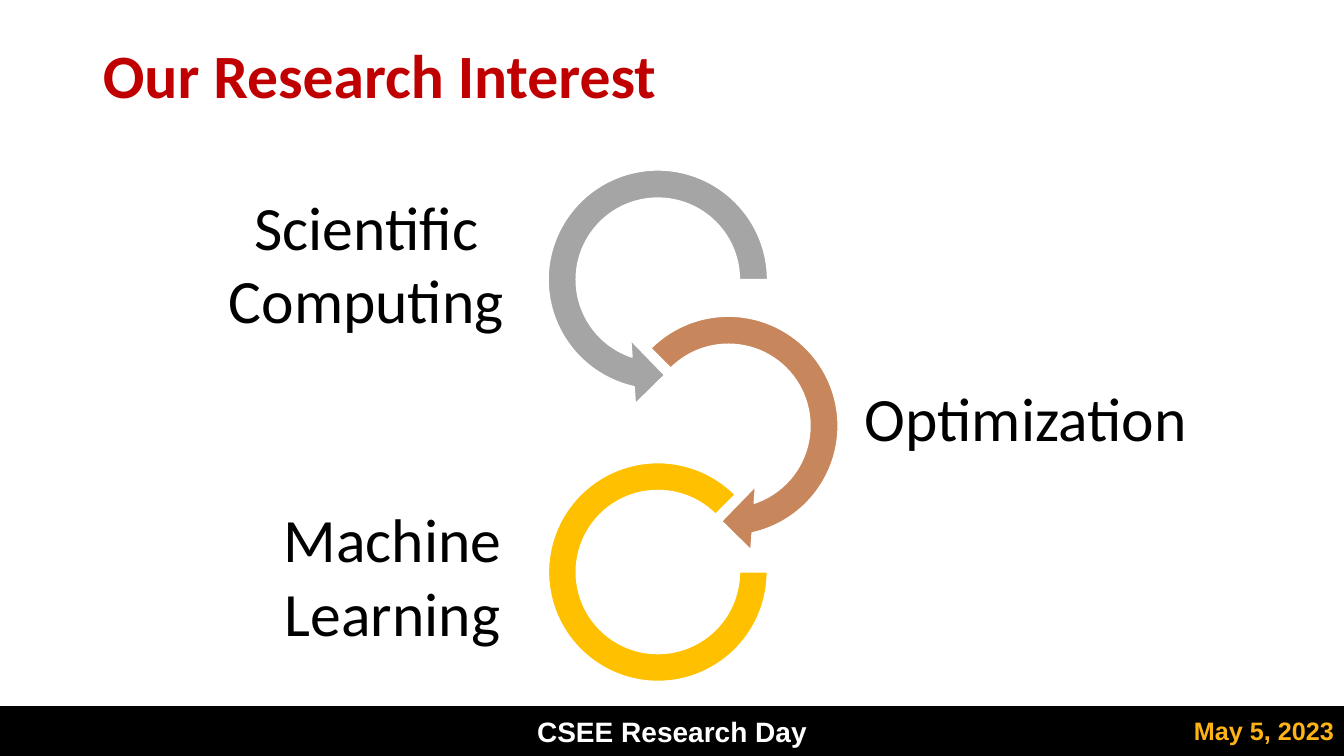
import pptx
import pptx.util
import pptx.dml.color
import pptx.enum.shapes
import pptx.enum.text

Inches = pptx.util.Inches
Pt = pptx.util.Pt
RGBColor = pptx.dml.color.RGBColor
Shape = pptx.enum.shapes.MSO_SHAPE
Align = pptx.enum.text.PP_ALIGN
Anchor = pptx.enum.text.MSO_ANCHOR
Fit = pptx.enum.text.MSO_AUTO_SIZE

BLACK = RGBColor(0x00, 0x00, 0x00)
WHITE = RGBColor(0xFF, 0xFF, 0xFF)
RED = RGBColor(0xC0, 0x00, 0x00)
AMBER = RGBColor(0xFD, 0xB3, 0x16)
GRAY = RGBColor(0xA5, 0xA5, 0xA5)
COPPER = RGBColor(0xC8, 0x86, 0x5C)
GOLD = RGBColor(0xFF, 0xC0, 0x00)

WIDTH, HEIGHT = 13.33, 7.5


def write(shape, text, font, size, color, align, bold=False):
    frame = shape.text_frame
    frame.word_wrap = True
    par = frame.paragraphs[0]
    par.text = text
    par.alignment = align
    par.font.name = font
    par.font.size = Pt(size)
    par.font.bold = bold
    par.font.color.rgb = color
    return par


def add_form(shapes, kind, box, fill, line):
    form = shapes.add_shape(kind, *map(Inches, box))
    form.shadow.inherit = False
    form.fill.solid()
    form.fill.fore_color.rgb = fill
    form.line.color.rgb = line
    form.line.width = Pt(1)
    return form


def add_text(slide, box, *style, **extra):
    text = slide.shapes.add_textbox(*map(Inches, box))
    write(text, *style, **extra)
    text.text_frame.auto_size = Fit.SHAPE_TO_FIT_TEXT


def add_footer(slide, box):
    left, top, width, height = box
    # Black bar with the name of the event
    bar = add_form(slide.shapes, Shape.RECTANGLE, box, BLACK, BLACK)
    bar.text_frame.vertical_anchor = Anchor.MIDDLE
    write(bar, "CSEE Research Day", "Arial", 20, WHITE, Align.CENTER, bold=True)
    # Date at the right end
    span = 2.32
    add_text(slide, (left + width - span, top + 0.04, span, 0.4),
             "May 5, 2023", "Arial", 18, AMBER, Align.RIGHT, bold=True)


def add_title(slide, box):
    title = slide.shapes.title
    title.left, title.top, title.width, title.height = map(Inches, box)
    par = write(title, "Our Research Interest", "Calibri", 44, RED, Align.LEFT,
                bold=True)
    par.line_spacing = 0.9
    title.text_frame.vertical_anchor = Anchor.MIDDLE
    title.text_frame.auto_size = Fit.NONE


def add_rings(slide, box):
    left, top, width, height = box
    arrow, arc = 2.53, 2.17
    shift = width - arrow
    step = (height - arrow / 2 - arc / 2) / 2
    rings = [
        (Shape.LEFT_CIRCULAR_ARROW, arrow, 0, GRAY, (0.11, 11.42, 63, 0, 0.125)),
        (Shape.CIRCULAR_ARROW, arrow, shift, COPPER, (0.11, 11.42, 45, 135, 0.125)),
        (Shape.BLOCK_ARC, arc, 0, GOLD, (0, 189, 0.127)),
    ]
    group = slide.shapes.add_group_shape()
    for row, (kind, size, move, color, bends) in enumerate(rings):
        inset = (arrow - size) / 2
        place = (left + move + inset, top + row * step + inset, size, size)
        ring = add_form(group.shapes, kind, place, color, WHITE)
        for spot, bend in enumerate(bends):
            ring.adjustments[spot] = bend


def add_labels(slide, box):
    left, top, width, height = box
    span = 4.47
    labels = [
        ("Scientific Computing", 0, 0, 1.58),
        ("Optimization", width - span, 1.9, 0.84),
        ("Machine Learning", 0.26, height - 1.58, 1.58),
    ]
    for text, right, down, tall in labels:
        add_text(slide, (left + right, top + down, span, tall),
                 text, "Calibri", 44, BLACK, Align.CENTER)


def main():
    deck = pptx.Presentation()
    deck.slide_width, deck.slide_height = Inches(WIDTH), Inches(HEIGHT)
    slide = deck.slides.add_slide(deck.slide_layouts[5])
    add_footer(slide, (0, 7.01, WIDTH, 0.49))
    add_title(slide, (0.92, 0.17, 11.5, 1.22))
    add_rings(slide, (5.26, 1.51, 3.23, 5.25))
    add_labels(slide, (1.4, 1.82, 11.01, 4.68))
    deck.save("out.pptx")


if __name__ == "__main__":
    main()
